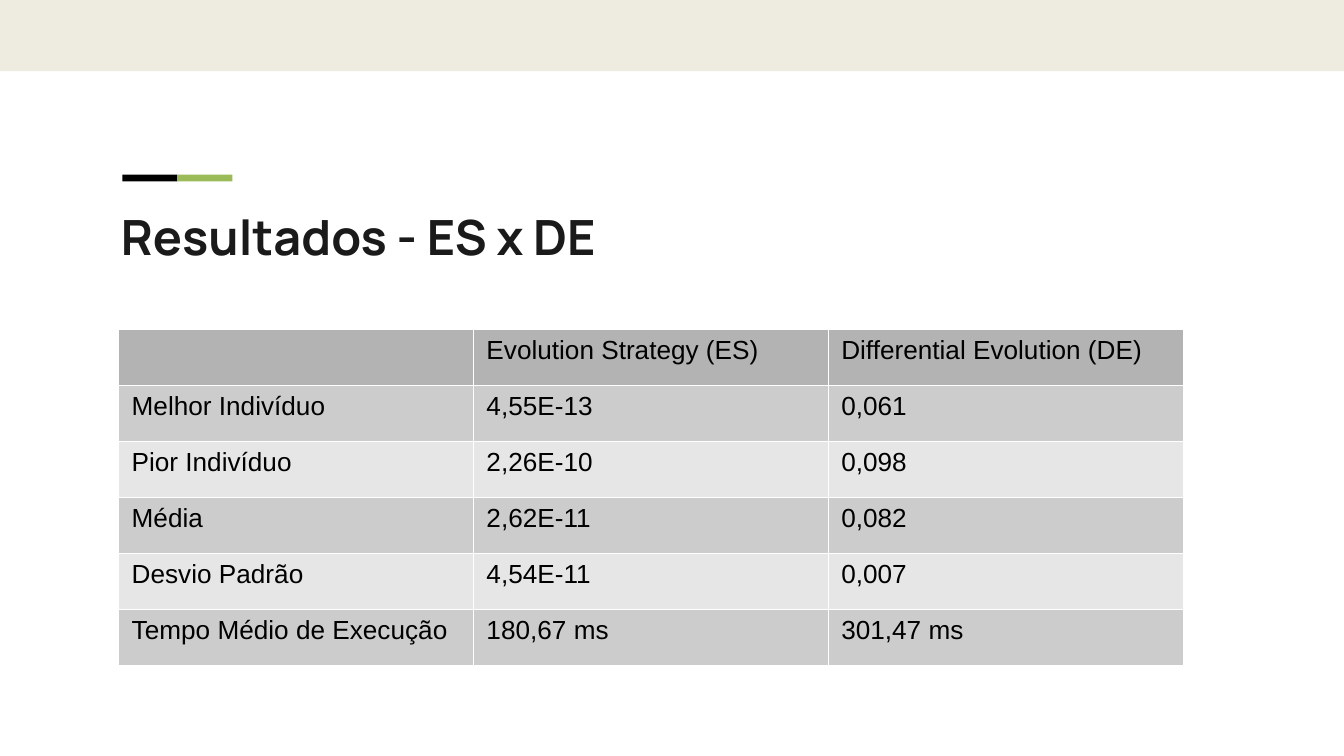
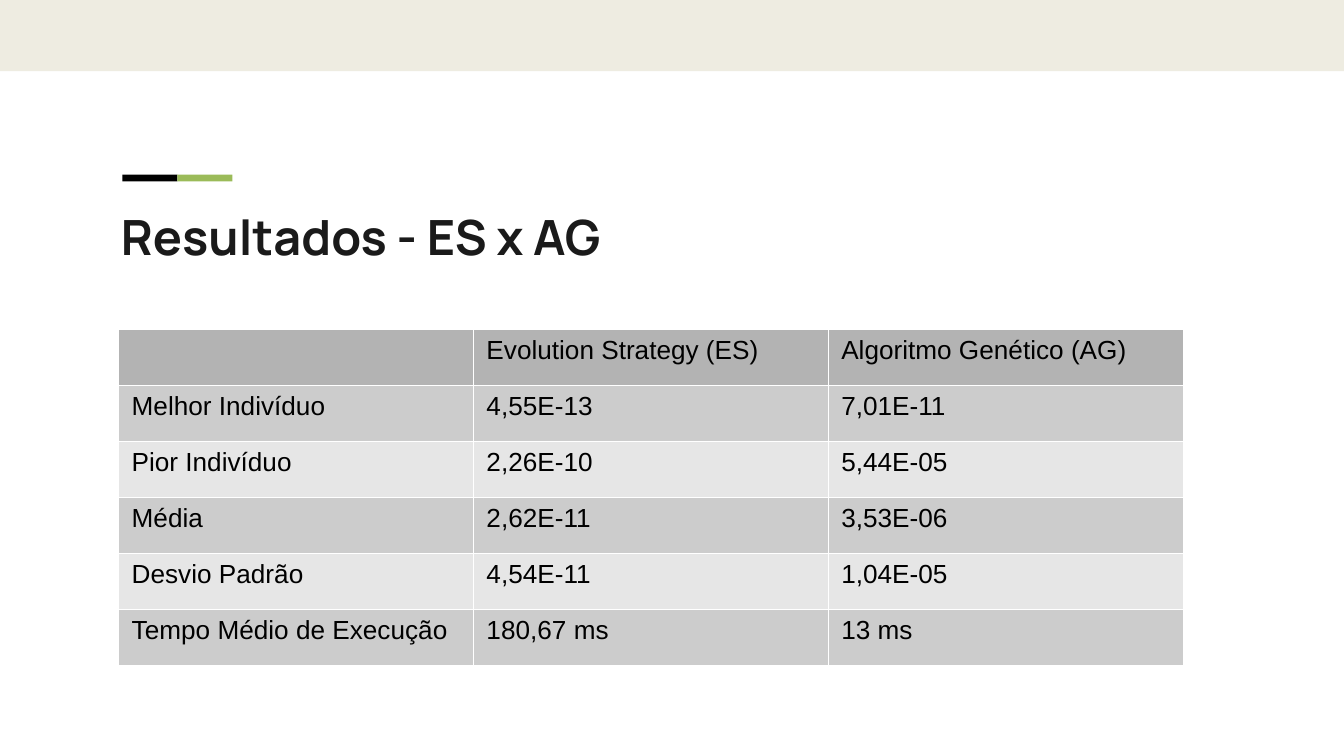
import lxml.etree
import pptx
import pptx.dml.color
import pptx.enum.shapes
import pptx.enum.text
import pptx.oxml.ns
import pptx.util

Inches = pptx.util.Inches
Pt = pptx.util.Pt

COLORS = {
    "band": "EEECE1",
    "black": "000000",
    "green": "9BBB59",
    "title": "1A1A1A",
    "header": "B3B3B3",
    "odd_row": "CCCCCC",
    "even_row": "E6E6E6",
    "border": "FFFFFF",
}
TITLE_FONT = "Manrope"
TABLE_FONT = "Arial"
BORDER_WIDTH = Pt(0.06)
SLIDE_WIDTH = 10

METRICS = ["Melhor Indivíduo", "Pior Indivíduo", "Média", "Desvio Padrão",
           "Tempo Médio de Execução"]
STRATEGY = ["Evolution Strategy (ES)", "4,55E-13", "2,26E-10", "2,62E-11",
            "4,54E-11", "180,67 ms"]
COMPARISONS = [
    ("Resultados - ES x DE",
     ["Differential Evolution (DE)", "0,061", "0,098", "0,082", "0,007", "301,47 ms"]),
    ("Resultados - ES x AG",
     ["Algoritmo Genético (AG)", "7,01E-11", "5,44E-05", "3,53E-06", "1,04E-05", "13 ms"]),
]


def rgb(name):
    return pptx.dml.color.RGBColor.from_string(COLORS[name])


def style_font(paragraph, face, size, color, bold=False):
    font = paragraph.font
    font.name = face
    font.size = Pt(size)
    font.bold = bold
    font.color.rgb = rgb(color)


def add_bar(slide, left, top, width, height, color):
    bar = slide.shapes.add_shape(
        pptx.enum.shapes.MSO_SHAPE.RECTANGLE,
        Inches(left), Inches(top), Inches(width), Inches(height))
    bar.shadow.inherit = False
    bar.fill.solid()
    bar.fill.fore_color.rgb = rgb(color)
    bar.line.fill.background()


def add_decoration(slide):
    """Draw the top band and the two-colour accent above the title."""
    add_bar(slide, 0, 0, SLIDE_WIDTH, 0.53, "band")
    for index, color in enumerate(["black", "green"]):
        add_bar(slide, 0.91 + 0.41 * index, 1.3, 0.41, 0.05, color)


def set_title(slide, text):
    title = slide.shapes.title
    title.left, title.top = Inches(0.8), Inches(1.44)
    title.width, title.height = Inches(8.41), Inches(0.59)
    frame = title.text_frame
    frame.text = text
    frame.word_wrap = True
    frame.auto_size = pptx.enum.text.MSO_AUTO_SIZE.NONE
    frame.vertical_anchor = pptx.enum.text.MSO_ANCHOR.TOP
    frame.margin_left = frame.margin_right = Inches(0.1)
    frame.margin_top = frame.margin_bottom = Inches(0.1)
    paragraph = frame.paragraphs[0]
    paragraph.alignment = pptx.enum.text.PP_ALIGN.LEFT
    style_font(paragraph, TITLE_FONT, 26, "title", bold=True)


def set_borders(cell):
    properties = cell._tc.get_or_add_tcPr()
    qn = pptx.oxml.ns.qn
    for index, side in enumerate(["a:lnL", "a:lnR", "a:lnT", "a:lnB"]):
        line = lxml.etree.Element(qn(side), w=str(BORDER_WIDTH))
        fill = lxml.etree.SubElement(line, qn("a:solidFill"))
        lxml.etree.SubElement(fill, qn("a:srgbClr"), val=COLORS["border"])
        properties.insert(index, line)


def format_cell(cell, text, fill):
    cell.text = text
    cell.margin_left = cell.margin_right = Inches(0.1)
    cell.margin_top = cell.margin_bottom = Inches(0.05)
    cell.fill.solid()
    cell.fill.fore_color.rgb = rgb(fill)
    style_font(cell.text_frame.paragraphs[0], TABLE_FONT, 14, "black")
    set_borders(cell)


def add_results_table(slide, rival):
    rows = list(zip(["", *METRICS], STRATEGY, rival))
    table = slide.shapes.add_table(
        len(rows), len(rows[0]),
        Inches(0.88), Inches(2.45), Inches(7.92), Inches(2.5)).table
    for row, texts in enumerate(rows):
        if row == 0:
            fill = "header"
        else:
            fill = "odd_row" if row % 2 else "even_row"
        for column, text in enumerate(texts):
            format_cell(table.cell(row, column), text, fill)


def main():
    presentation = pptx.Presentation()
    presentation.slide_width = Inches(SLIDE_WIDTH)
    presentation.slide_height = Inches(SLIDE_WIDTH * 9 / 16)
    title_only = presentation.slide_layouts[5]
    for title, rival in COMPARISONS:
        slide = presentation.slides.add_slide(title_only)
        add_decoration(slide)
        set_title(slide, title)
        add_results_table(slide, rival)
    presentation.save("out.pptx")


if __name__ == "__main__":
    main()
